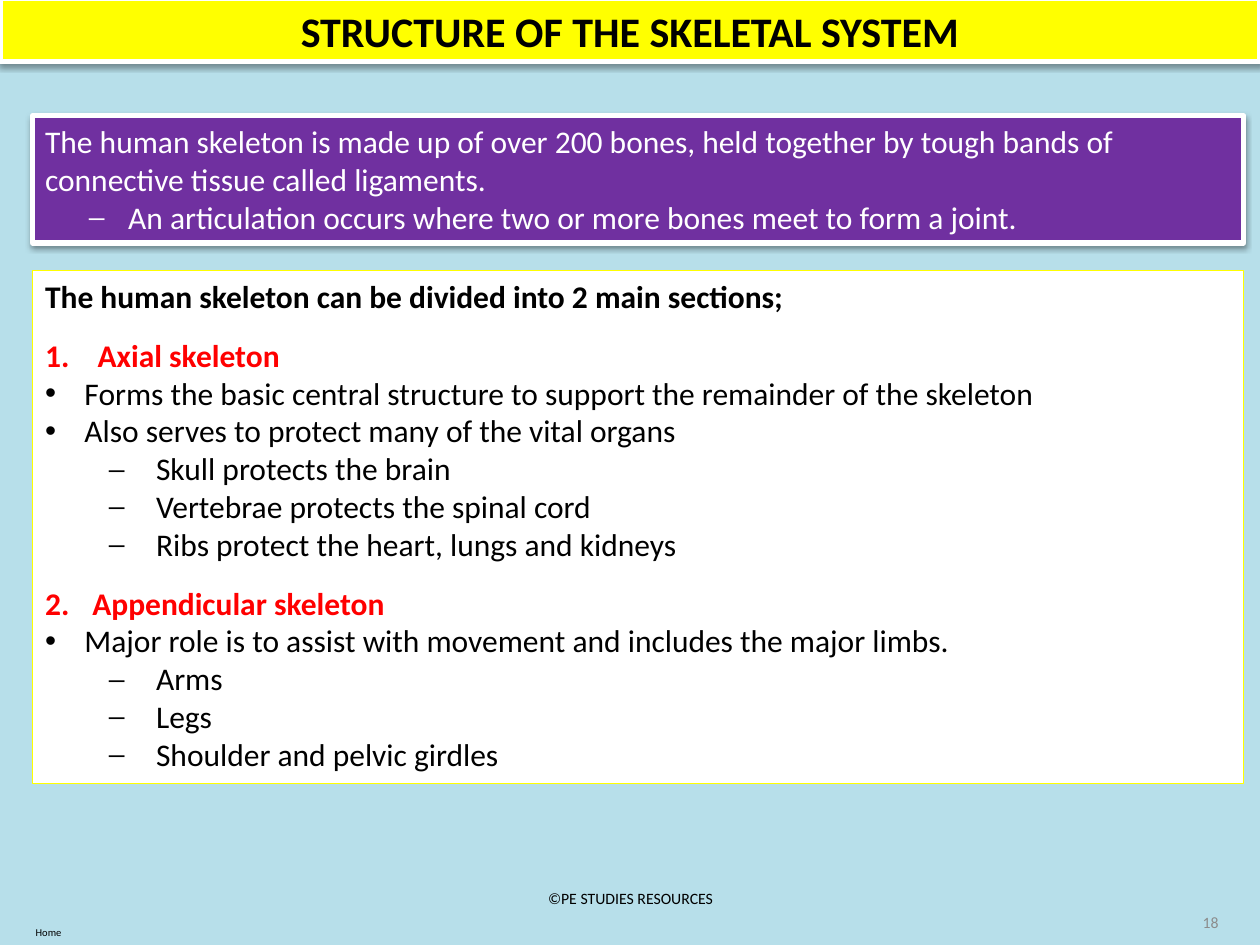
"""Build a slide on the structure of the skeletal system."""
from lxml.etree import SubElement
from pptx import Presentation
from pptx.dml.color import RGBColor
from pptx.enum.shapes import MSO_SHAPE
from pptx.enum.text import MSO_ANCHOR, MSO_AUTO_SIZE, PP_ALIGN
from pptx.oxml.ns import qn
from pptx.util import Pt

SKY = RGBColor(0xB7, 0xDF, 0xEA)
PURPLE = RGBColor(0x70, 0x30, 0xA0)
YELLOW = RGBColor(0xFF, 0xFF, 0x00)
WHITE = RGBColor(0xFF, 0xFF, 0xFF)
BLACK = RGBColor(0x00, 0x00, 0x00)
RED = RGBColor(0xFF, 0x00, 0x00)
GREY = RGBColor(0x8C, 0x8C, 0x8C)

DOT, DASH = "•", "⎯"

INTRO = [
    ("plain", "The human skeleton is made up of over 200 bones, held together by tough bands of"),
    ("plain", "connective tissue called ligaments."),
    ("note", "An articulation occurs where two or more bones meet to form a joint."),
]
PARTS = [
    ("lead", "The human skeleton can be divided into 2 main sections;"),
    ("first", "Axial skeleton"),
    ("dot", "Forms the basic central structure to support the remainder of the skeleton"),
    ("dot", "Also serves to protect many of the vital organs"),
    ("dash", "Skull protects the brain"),
    ("dash", "Vertebrae protects the spinal cord"),
    ("dash", "Ribs protect the heart, lungs and kidneys"),
    ("next", "Appendicular skeleton"),
    ("dot", "Major role is to assist with movement and includes the major limbs."),
    ("dash", "Arms"),
    ("dash", "Legs"),
    ("dash", "Shoulder and pelvic girdles"),
]


class Deck:
    font = "Calibri"
    size = 18
    gap = 12
    marks = {
        "note": (1, 47.5, 22.5, DASH),
        "dot": (0, 22.5, 22.5, DOT),
        "dash": (1, 63.4, 27, DASH),
        "first": (0, 30, 30, 1),
        "next": (0, 27, 27, 2),
    }

    def __init__(self):
        self.file = Presentation()
        self.file.slide_width, self.file.slide_height = Pt(720), Pt(540)
        self.slide = self.file.slides.add_slide(self.file.slide_layouts[5])
        fill = self.slide.background.fill
        fill.solid()
        fill.fore_color.rgb = SKY

    def style(self, para, size, color, bold=False):
        for run in para.runs:
            font = run.font
            font.name, font.size, font.bold = self.font, Pt(size), bold
            font.color.rgb = color

    def paint(self, shape, fill, line, width, shade):
        shape.fill.solid()
        shape.fill.fore_color.rgb = fill
        shape.line.color.rgb = line
        shape.line.width = Pt(width)
        shape.shadow.inherit = False
        if shade:
            group = shape.element.spPr.find(qn("a:effectLst"))
            cast = SubElement(group, qn("a:outerShdw"), blurRad=str(Pt(3.1)),
                              dist=str(Pt(1.6)), dir="5400000", rotWithShape="0")
            tint = SubElement(cast, qn("a:srgbClr"), val="000000")
            SubElement(tint, qn("a:alpha"), val="38000")

    def mark(self, para, kind):
        level, left, hang, sign = self.marks[kind]
        para.level = level
        props = para._p.get_or_add_pPr()
        props.set("marL", str(Pt(left)))
        props.set("indent", str(Pt(-hang)))
        if isinstance(sign, int):
            SubElement(props, qn("a:buAutoNum"), type="arabicPeriod", startAt=str(sign))
        else:
            SubElement(props, qn("a:buFont"), typeface="Arial")
            SubElement(props, qn("a:buChar"), char=sign)

    def title(self, text, left, top, width, height):
        shape = self.slide.shapes.title
        shape.left, shape.top = Pt(left), Pt(top)
        shape.width, shape.height = Pt(width), Pt(height)
        self.paint(shape, YELLOW, WHITE, 3, True)
        frame = shape.text_frame
        frame.text = text
        frame.auto_size = MSO_AUTO_SIZE.NONE
        frame.vertical_anchor = MSO_ANCHOR.MIDDLE
        frame.paragraphs[0].alignment = PP_ALIGN.CENTER
        self.style(frame.paragraphs[0], 24, BLACK, True)

    def panel(self, rows, top, height, fill, line, width, color, shade=False):
        shape = self.slide.shapes.add_shape(
            MSO_SHAPE.RECTANGLE, Pt(18.7), Pt(top), Pt(692), Pt(height))
        self.paint(shape, fill, line, width, shade)
        frame = shape.text_frame
        frame.word_wrap = True
        frame.vertical_anchor = MSO_ANCHOR.TOP
        frame.text = "\n".join(text for kind, text in rows)
        for para, (kind, text) in zip(frame.paragraphs, rows):
            para.alignment = PP_ALIGN.LEFT
            head = kind in ("first", "next")
            if kind in self.marks:
                self.mark(para, kind)
            if head:
                para.space_before = Pt(self.gap)
            self.style(para, self.size, RED if head else color, head or kind == "lead")

    def label(self, text, left, top, width, height, size, color, align, anchor):
        shape = self.slide.shapes.add_textbox(Pt(left), Pt(top), Pt(width), Pt(height))
        frame = shape.text_frame
        frame.word_wrap = True
        frame.vertical_anchor = anchor
        frame.text = text
        frame.paragraphs[0].alignment = align
        self.style(frame.paragraphs[0], size, color)


def main():
    deck = Deck()
    deck.title("STRUCTURE OF THE SKELETAL SYSTEM", 0, -0.7, 720, 36)
    deck.panel(INTRO, 66.2, 72.7, PURPLE, WHITE, 3, WHITE, True)
    deck.panel(PARTS, 154.8, 293, WHITE, YELLOW, 0.75, BLACK)
    deck.label("Home", 2.9, 525.6, 49.7, 14.4, 6, BLACK, PP_ALIGN.CENTER, MSO_ANCHOR.TOP)
    deck.label("©PE STUDIES RESOURCES", 246.2, 499, 228.2, 28.8, 9, BLACK,
               PP_ALIGN.CENTER, MSO_ANCHOR.MIDDLE)
    deck.label("18", 533.5, 516.2, 169.9, 21.6, 9, GREY, PP_ALIGN.RIGHT, MSO_ANCHOR.MIDDLE)
    deck.file.save("out.pptx")


if __name__ == "__main__":
    main()
